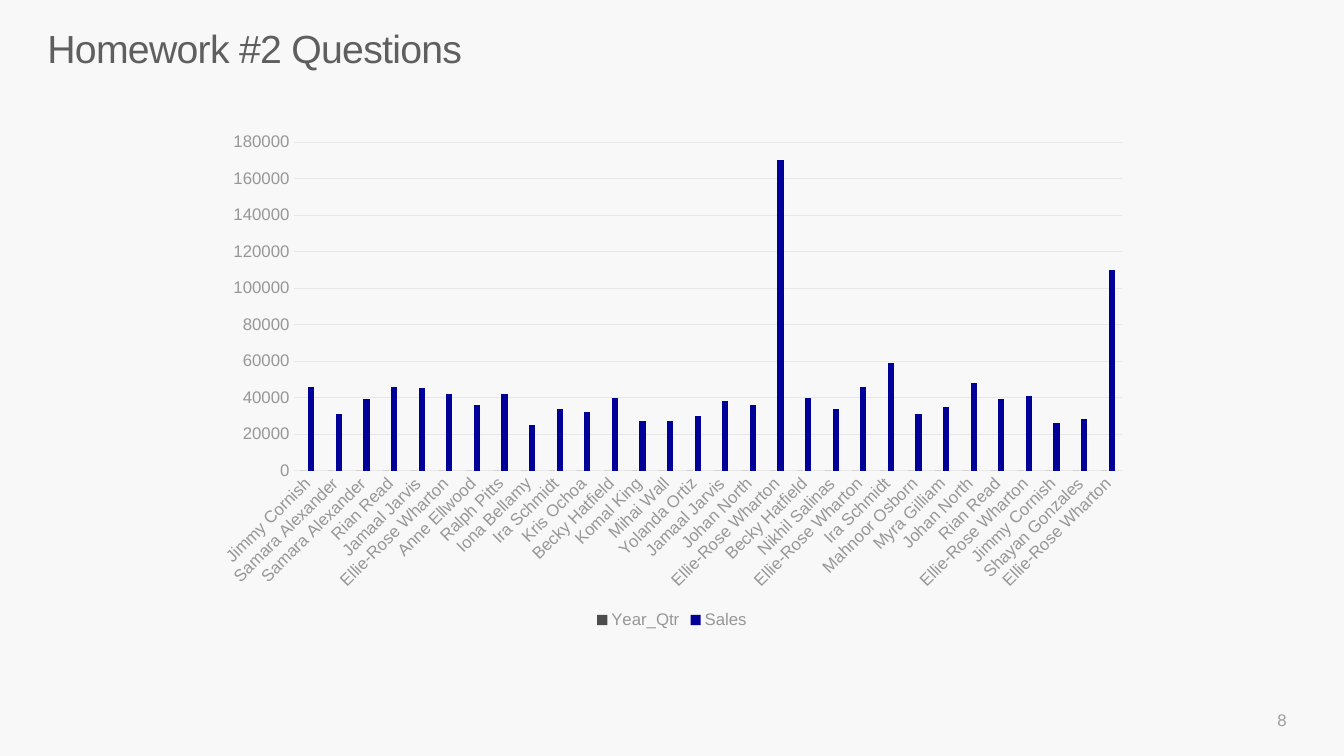
from pptx import Presentation
from pptx import util as u
from pptx.chart import data as chart_data
from pptx.dml.color import RGBColor
from pptx.enum import chart as chart_enum, text

# Content
TITLE = "Homework #2 Questions"
PAGE_NUMBER = "8"
SALES = [
    ("Jimmy Cornish", 46000), ("Samara Alexander", 31000),
    ("Samara Alexander", 39000), ("Rian Read", 46000),
    ("Jamaal Jarvis", 45000), ("Ellie-Rose Wharton", 42000),
    ("Anne Ellwood", 36000), ("Ralph Pitts", 42000),
    ("Iona Bellamy", 25000), ("Ira Schmidt", 34000),
    ("Kris Ochoa", 32000), ("Becky Hatfield", 40000),
    ("Komal King", 27000), ("Mihai Wall", 27000),
    ("Yolanda Ortiz", 30000), ("Jamaal Jarvis", 38000),
    ("Johan North", 36000), ("Ellie-Rose Wharton", 170000),
    ("Becky Hatfield", 40000), ("Nikhil Salinas", 34000),
    ("Ellie-Rose Wharton", 46000), ("Ira Schmidt", 59000),
    ("Mahnoor Osborn", 31000), ("Myra Gilliam", 35000),
    ("Johan North", 48000), ("Rian Read", 39000),
    ("Ellie-Rose Wharton", 41000), ("Jimmy Cornish", 26000),
    ("Shayan Gonzales", 28000), ("Ellie-Rose Wharton", 110000),
]
COLORS = {
    "background": "F8F8F8", "title": "5F5F5F", "label": "979797",
    "page": "9D9D9D", "grid": "E7E7E7", "Year_Qtr": "4D4D4D", "Sales": "000099",
}


def color(name):
    return RGBColor.from_string(COLORS[name])


def set_font(font, size, color_name):
    font.name = "Arial"
    font.size = u.Pt(size)
    font.color.rgb = color(color_name)


def set_line(line, color_name):
    line.color.rgb = color(color_name)
    line.width = u.Pt(0.75)


def add_text(slide, content, box, size, color_name):
    shape = slide.shapes.add_textbox(*map(u.Inches, box))
    frame = shape.text_frame
    frame.word_wrap = True
    paragraph = frame.paragraphs[0]
    paragraph.text = content
    set_font(paragraph.font, size, color_name)
    return frame, paragraph


presentation = Presentation()
presentation.slide_width = u.Inches(13.33)
presentation.slide_height = u.Inches(7.5)
slide = presentation.slides.add_slide(presentation.slide_layouts[6])
slide.background.fill.solid()
slide.background.fill.fore_color.rgb = color("background")

# Sales chart
sales_data = chart_data.CategoryChartData()
sales_data.categories = [name for name, _ in SALES]
sales_data.add_series("Year_Qtr", [0] * len(SALES))
sales_data.add_series("Sales", [amount for _, amount in SALES])
chart = slide.shapes.add_chart(
    chart_enum.XL_CHART_TYPE.COLUMN_CLUSTERED,
    *map(u.Inches, (2.02, 1.22, 9.29, 5.06)), sales_data).chart
set_font(chart.font, 10, "title")
chart.has_title = False
chart.has_legend = True
chart.legend.position = chart_enum.XL_LEGEND_POSITION.BOTTOM
chart.legend.include_in_layout = False
set_font(chart.legend.font, 12, "label")

plot = chart.plots[0]
plot.vary_by_categories = False
plot.gap_width = 219
plot.overlap = -27
for series in plot.series:
    series.format.fill.solid()
    series.format.fill.fore_color.rgb = color(series.name)

# Axes
for axis in (chart.category_axis, chart.value_axis):
    axis.major_tick_mark = chart_enum.XL_TICK_MARK.NONE
    axis.minor_tick_mark = chart_enum.XL_TICK_MARK.NONE
    set_font(axis.tick_labels.font, 12, "label")
set_line(chart.category_axis.format.line, "grid")
chart.value_axis.format.line.fill.background()
chart.value_axis.has_major_gridlines = True
set_line(chart.value_axis.major_gridlines.format.line, "grid")

# Page number
frame, paragraph = add_text(slide, PAGE_NUMBER, (9.86, 6.94, 3, 0.4), 12, "page")
frame.vertical_anchor = text.MSO_ANCHOR.MIDDLE
paragraph.alignment = text.PP_ALIGN.RIGHT

# Title
frame, paragraph = add_text(slide, TITLE, (0.47, 0.31, 12.39, 0.89), 28, "title")
frame.margin_left = frame.margin_right = frame.margin_top = frame.margin_bottom = 0
paragraph.line_spacing = 0.86
paragraph.runs[0].font._element.set("spc", "-50")

presentation.save("out.pptx")
